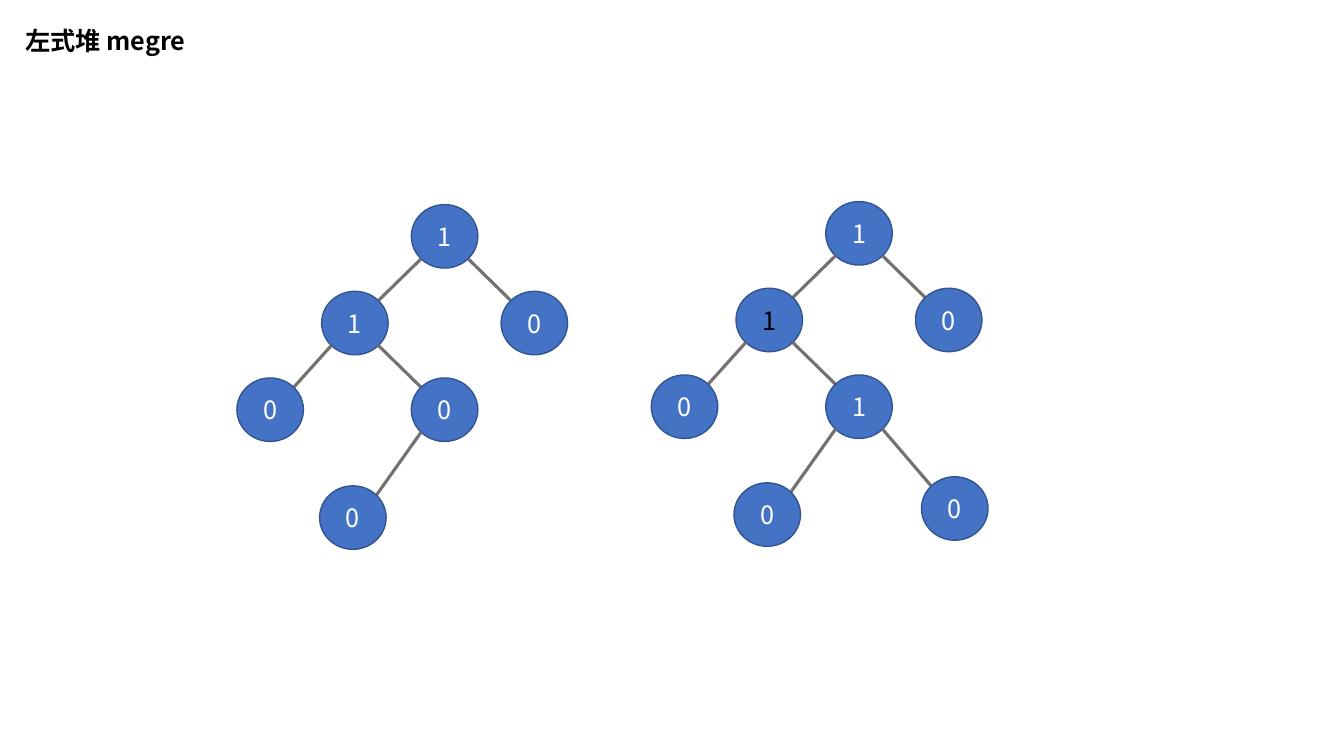
import math

import pptx
import pptx.dml.color
import pptx.enum.shapes
import pptx.enum.text
import pptx.oxml.ns
import pptx.util
from lxml import etree

PX = 9144  # EMU per px, 100 px to the inch
FONT = "Noto Sans CJK SC"
BLACK = pptx.dml.color.RGBColor(0x00, 0x00, 0x00)
WHITE = pptx.dml.color.RGBColor(0xFF, 0xFF, 0xFF)
NODE_FILL = pptx.dml.color.RGBColor(0x44, 0x72, 0xC4)
NODE_OUTLINE = pptx.dml.color.RGBColor(0x32, 0x54, 0x91)
EDGE_GRAY = pptx.dml.color.RGBColor(0x76, 0x71, 0x71)

NODE_W, NODE_H = 66, 63
ALIGN = pptx.enum.text.PP_ALIGN
ANCHOR = pptx.enum.text.MSO_ANCHOR

# Node positions inside a tree's box, shared by both heaps
SPOTS = {
    "root": (173, 0),
    "left": (84, 86),
    "right": (262, 86),
    "left-left": (0, 172),
    "left-right": (173, 172),
    "left-right-left": (82, 279),
    "left-right-right": (268, 273),
}
PARENTS = {
    "left": "root",
    "right": "root",
    "left-left": "left",
    "left-right": "left",
    "left-right-left": "left-right",
    "left-right-right": "left-right",
}
# Null path length shown in each node
FIRST_HEAP = {"root": 1, "left": 1, "right": 0, "left-left": 0,
              "left-right": 0, "left-right-left": 0}
SECOND_HEAP = {**FIRST_HEAP, "left-right": 1, "left-right-right": 0}


def px(length):
    return pptx.util.Emu(round(length * PX))


def write_text(shape, text, color=WHITE, bold=False, align=ALIGN.CENTER,
               anchor=ANCHOR.MIDDLE, size=18):
    frame = shape.text_frame
    frame.word_wrap = True
    frame.vertical_anchor = anchor
    paragraph = frame.paragraphs[0]
    paragraph.alignment = align
    run = paragraph.add_run()
    run.text = text
    run.font.size = pptx.util.Pt(size)
    run.font.bold = bold
    run.font.name = FONT
    run.font.color.rgb = color
    east_asian = etree.SubElement(run.font._element, pptx.oxml.ns.qn("a:ea"))
    east_asian.set("typeface", FONT)


def place_title(slide, left, top, width, height):
    title = slide.shapes.title
    title.left, title.top = px(left), px(top)
    title.width, title.height = px(width), px(height)
    write_text(title, "左式堆 megre", color=BLACK, bold=True,
               align=ALIGN.LEFT, anchor=ANCHOR.TOP)
    title.text_frame.auto_size = pptx.enum.text.MSO_AUTO_SIZE.SHAPE_TO_FIT_TEXT


def draw_node(slide, left, top, label, color):
    node = slide.shapes.add_shape(pptx.enum.shapes.MSO_SHAPE.OVAL,
                                  px(left), px(top), px(NODE_W), px(NODE_H))
    node.shadow.inherit = False
    node.fill.solid()
    node.fill.fore_color.rgb = NODE_FILL
    node.line.color.rgb = NODE_OUTLINE
    node.line.width = pptx.util.Pt(1)
    write_text(node, label, color=color)


def draw_edge(slide, parent, child):
    """Join the parent's lower diagonal point to the child's upper one."""
    side = 1 if child[0] > parent[0] else -1
    reach_x = NODE_W / 2 * math.sqrt(0.5)
    reach_y = NODE_H / 2 * math.sqrt(0.5)
    edge = slide.shapes.add_connector(
        pptx.enum.shapes.MSO_CONNECTOR.STRAIGHT,
        px(parent[0] + NODE_W / 2 + side * reach_x),
        px(parent[1] + NODE_H / 2 + reach_y),
        px(child[0] + NODE_W / 2 - side * reach_x),
        px(child[1] + NODE_H / 2 - reach_y))
    edge.line.color.rgb = EDGE_GRAY
    edge.line.width = pptx.util.Pt(2.25)
    etree.SubElement(edge._element.spPr, pptx.oxml.ns.qn("a:effectLst"))


def draw_heap(slide, left, top, labels, dark_label=None):
    places = {key: (left + SPOTS[key][0], top + SPOTS[key][1]) for key in labels}
    for key, label in labels.items():
        if key in PARENTS:
            draw_edge(slide, places[PARENTS[key]], places[key])
        draw_node(slide, *places[key], str(label),
                  BLACK if key == dark_label else WHITE)


def main():
    deck = pptx.Presentation()
    deck.slide_width, deck.slide_height = px(1333), px(750)
    slide = deck.slides.add_slide(deck.slide_layouts[5])  # title only

    place_title(slide, 15, 20, 204, 40)
    draw_heap(slide, 235, 203, FIRST_HEAP)
    draw_heap(slide, 646, 200, SECOND_HEAP, dark_label="left")

    deck.save("out.pptx")


if __name__ == "__main__":
    main()
